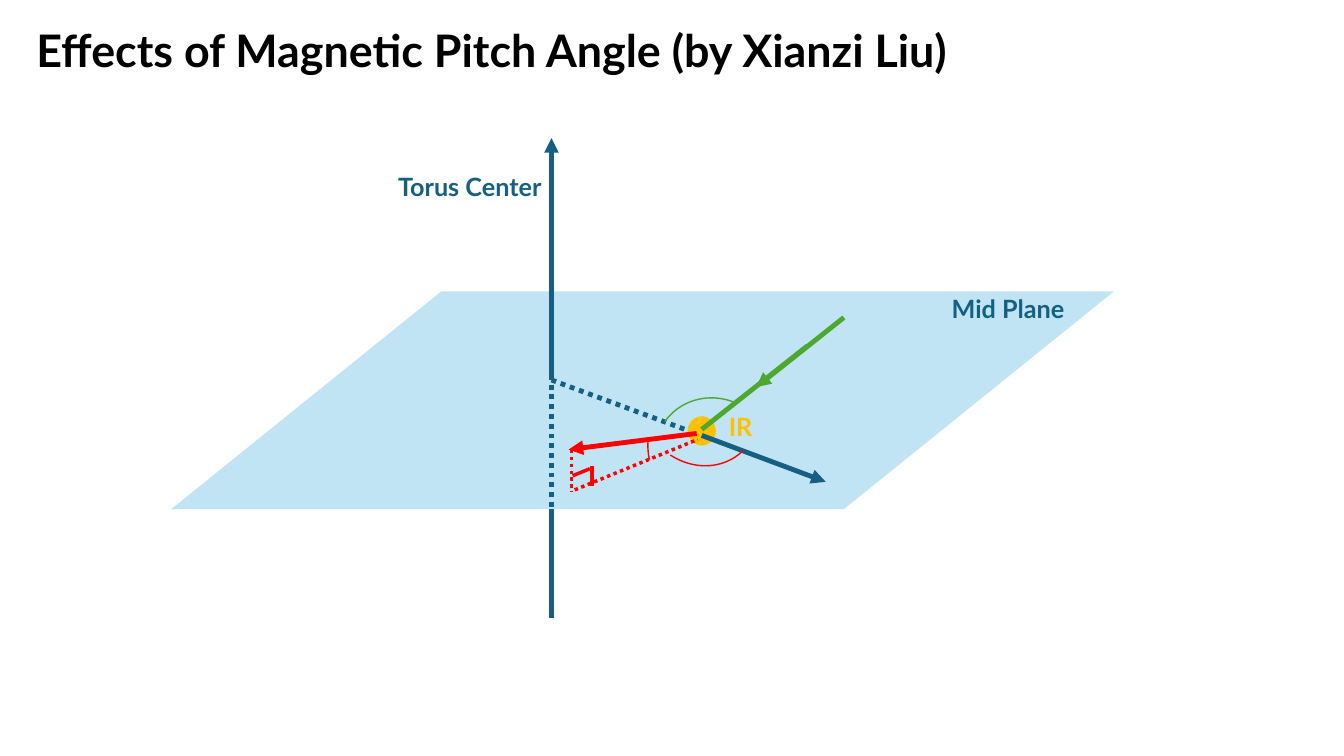
"""Builds the slide on magnetic pitch angle."""
import dataclasses

import lxml.etree
import pptx
import pptx.dml.color
import pptx.enum.dml
import pptx.enum.shapes
import pptx.enum.text
import pptx.oxml.ns
import pptx.util

PX = 9144
KIND = pptx.enum.shapes.MSO_SHAPE
FIT = pptx.enum.text.MSO_AUTO_SIZE


@dataclasses.dataclass(frozen=True)
class Theme:
    """Holds the colours, type sizes and line widths."""
    font: str = "Lato"
    black: str = "000000"
    plane: str = "83CBEB"
    axis: str = "156082"
    point: str = "FFC000"
    beam: str = "4EA72E"
    field: str = "FF0000"
    title: int = 32
    label: int = 18
    bold: float = 3.5
    mid: float = 2.5
    thin: float = 1


THEME = Theme()


def rgb(code):
    """Returns a colour from its hex code."""
    return pptx.dml.color.RGBColor.from_string(code)


def px(*nums):
    """Turns px into EMU."""
    return [num * PX for num in nums]


def sub(node, tag, **attrs):
    """Adds a child element to a node."""
    return lxml.etree.SubElement(node, pptx.oxml.ns.qn(tag), attrs)


def write(frame, text, size, color):
    """Sets bold text in a frame and returns its paragraph."""
    frame.word_wrap = True
    para = frame.paragraphs[0]
    para.text = text
    para.alignment = pptx.enum.text.PP_ALIGN.LEFT
    font = para.font
    font.name, font.size, font.bold = THEME.font, pptx.util.Pt(size), True
    font.color.rgb = rgb(color)
    return para


def place(shape, *box):
    """Moves a shape to a box given in px."""
    shape.left, shape.top, shape.width, shape.height = px(*box)


def head(slide, text, *box):
    """Fills and formats the title."""
    title = slide.shapes.title
    place(title, *box)
    frame = title.text_frame
    para = write(frame, text, THEME.title, THEME.black)
    para.line_spacing = 0.9
    frame.auto_size = FIT.NONE
    frame.vertical_anchor = pptx.enum.text.MSO_ANCHOR.BOTTOM


def label(shapes, text, color, *box):
    """Adds a text label."""
    frame = shapes.add_textbox(*px(*box)).text_frame
    write(frame, text, THEME.label, color)
    frame.auto_size = FIT.SHAPE_TO_FIT_TEXT


def solid(shapes, kind, color, *box):
    """Adds a filled shape with no outline."""
    shape = shapes.add_shape(kind, *px(*box))
    shape.shadow.inherit = False
    shape.fill.solid()
    shape.fill.fore_color.rgb = rgb(color)
    shape.line.fill.background()
    return shape


def plane(shapes, *box):
    """Adds the half-transparent mid plane."""
    shape = solid(shapes, KIND.PARALLELOGRAM, THEME.plane, *box)
    shape.adjustments[0] = 1.24
    tint = shape.fill._xPr.find(".//" + pptx.oxml.ns.qn("a:srgbClr"))
    sub(tint, "a:alpha", val="50000")


def stroke(line, color, width):
    """Sets the colour and width of a line."""
    line.color.rgb = rgb(color)
    line.width = pptx.util.Pt(width)


def ray(shapes, color, ends, width=THEME.bold, dots=False, arrow=False):
    """Adds a straight line, dotted or with an arrowhead if asked."""
    line = shapes.add_connector(pptx.enum.shapes.MSO_CONNECTOR.STRAIGHT, *px(*ends))
    stroke(line.line, color, width)
    if dots:
        line.line.dash_style = pptx.enum.dml.MSO_LINE.ROUND_DOT
    if arrow:
        sub(line.line._get_or_add_ln(), "a:tailEnd", type="triangle")
    sub(line._element.spPr, "a:effectLst")


def arc(shapes, color, box, turn, start=162):
    """Adds an angle mark, turned by degrees."""
    mark = shapes.add_shape(KIND.ARC, *px(*box))
    mark.shadow.inherit = False
    mark.fill.background()
    stroke(mark.line, color, THEME.thin)
    mark.adjustments[0], mark.adjustments[1] = start, 207.51
    mark.rotation = turn


def main():
    """Builds and saves the slide."""
    deck = pptx.Presentation()
    deck.slide_width, deck.slide_height = px(1333, 750)
    slide = deck.slides.add_slide(deck.slide_layouts[5])
    head(slide, "Effects of Magnetic Pitch Angle (by Xianzi Liu)", 26, 23, 1000, 59)
    axis, beam, field = THEME.axis, THEME.beam, THEME.field
    art = slide.shapes.add_group_shape().shapes

    plane(art, 170, 289, 935, 216)
    label(art, "Mid Plane", axis, 934, 286, 145, 47)
    ray(art, axis, (547, 372, 547, 137), arrow=True)
    ray(art, axis, (547, 372, 547, 505), dots=True)
    ray(art, axis, (547, 505, 547, 613))
    label(art, "Torus Center", axis, 385, 165, 183, 47)

    solid(art, KIND.OVAL, THEME.point, 682, 413, 28, 29)
    ray(art, axis, (547, 377, 682, 427), dots=True)
    ray(art, axis, (696, 432, 819, 478), arrow=True)
    ray(art, beam, (837, 315, 750, 384), arrow=True)
    label(art, "IR", THEME.point, 713, 403, 50, 47)
    ray(art, beam, (801, 343, 696, 426))
    arc(art, beam, (651, 393, 114, 119), 305.2)

    ray(art, field, (691, 430, 564, 446), arrow=True)
    for ends in (567, 446, 567, 488), (570, 486, 692, 436):
        ray(art, field, ends, THEME.mid, dots=True)
    for ends in (568, 472, 585, 465), (587, 482, 587, 462):
        ray(art, field, ends, THEME.mid)
    arc(art, field, (638, 342, 111, 123), 135)
    arc(art, field, (643, 377, 111, 123), 196.3, 195.55)
    deck.save("out.pptx")


if __name__ == "__main__":
    main()
